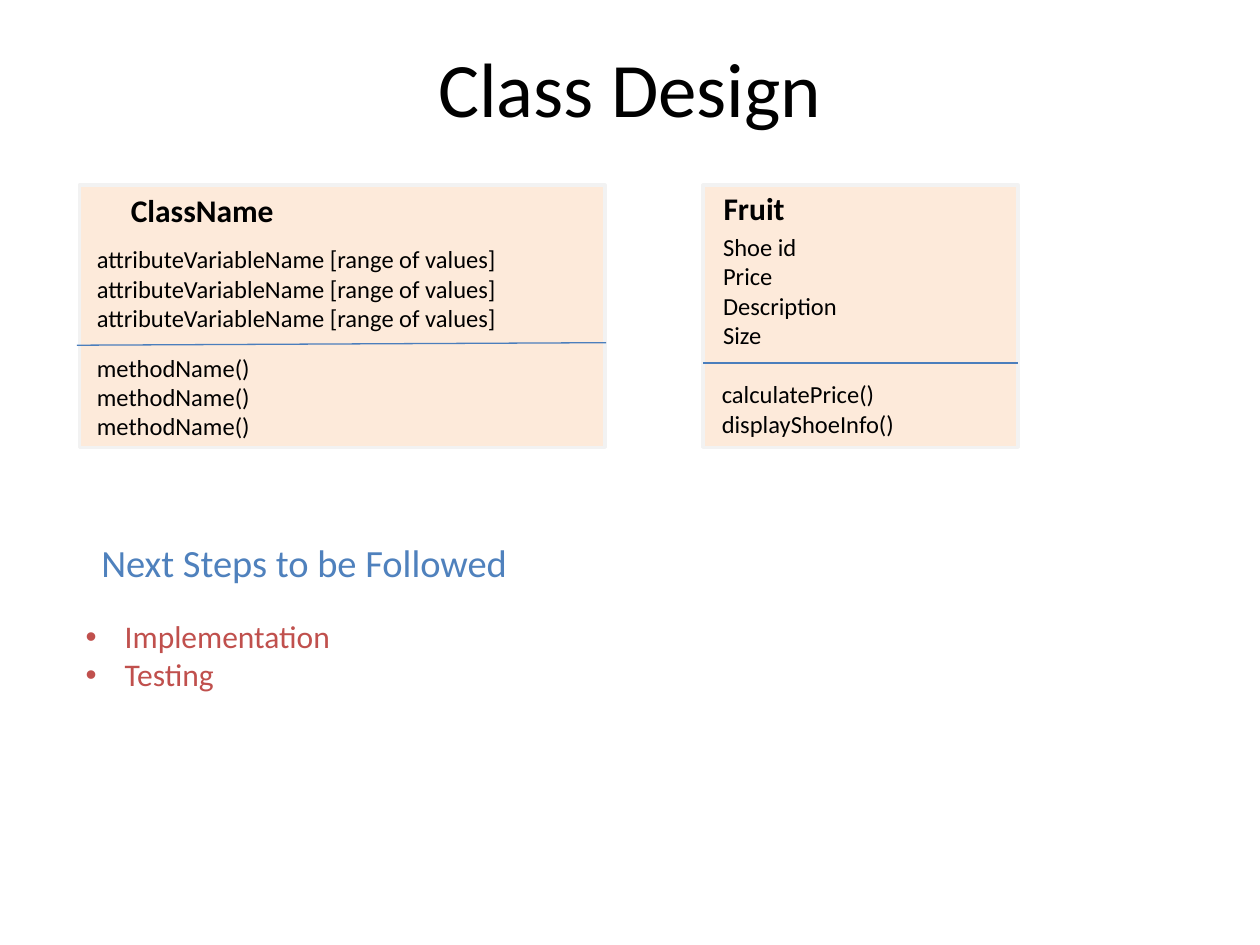
from dataclasses import dataclass

from lxml import etree
from pptx import Presentation
from pptx.dml.color import RGBColor
from pptx.enum import shapes, text
from pptx.oxml import ns
from pptx.util import Inches, Pt


@dataclass(frozen=True)
class Theme:
    font: str = "Calibri"
    ink: str = "000000"
    heading: str = "4F81BD"
    accent: str = "C0504D"
    box_fill: str = "FDEADA"
    box_line: str = "F2F2F2"
    divider: str = "4B7EBC"
    title_size: int = 44
    heading_size: int = 22
    name_size: int = 18
    list_size: int = 18
    member_size: int = 14


theme = Theme()
LEFT, CENTER = text.PP_ALIGN.LEFT, text.PP_ALIGN.CENTER
TOP, MIDDLE = text.MSO_ANCHOR.TOP, text.MSO_ANCHOR.MIDDLE


def put_text(sp, lines, at, size, color=theme.ink, bold=False, align=LEFT,
             anchor=TOP, hang=None):
    """Place sp at (left, top, width, height) inches and write one paragraph per line."""
    sp.left, sp.top, sp.width, sp.height = map(Inches, at)
    tf = sp.text_frame
    tf.word_wrap = True
    tf.auto_size = text.MSO_AUTO_SIZE.NONE
    tf.vertical_anchor = anchor
    for i, line in enumerate(lines):
        p = tf.add_paragraph() if i else tf.paragraphs[0]
        p.alignment = align
        p.space_before = Pt(0)
        if hang:
            pPr = p._p.get_or_add_pPr()
            pPr.set("marL", str(Inches(hang)))
            pPr.set("indent", str(-Inches(hang)))
            etree.SubElement(pPr, ns.qn("a:buChar")).set("char", "•")
        r = p.add_run()
        r.text = line
        r.font.name = theme.font
        r.font.size = Pt(size)
        r.font.bold = bold
        r.font.color.rgb = RGBColor.from_string(color)


prs = Presentation()
prs.slide_width, prs.slide_height = Inches(10), Inches(7.5)
s = prs.slides.add_slide(prs.slide_layouts.get_by_name("Title and Content"))

put_text(s.shapes.title, ["Class Design"], (0.5, 0.16, 9, 1.06),
         theme.title_size, align=CENTER, anchor=MIDDLE)

# Each class: its box, its divider, then name, attributes and methods
classes = [
    dict(box=(0.63, 1.47, 4.17, 2.08), divider=(0.61, 2.74, 4.81, 2.72),
         name=("ClassName", (0.61, 1.47, 1.99, 0.39)),
         members=[(["attributeVariableName [range of values]"] * 3,
                   (0.67, 1.89, 4.08, 0.77)),
                  (["methodName()"] * 3, (0.67, 2.75, 4.08, 0.77))]),
    dict(box=(5.58, 1.47, 2.5, 2.08), divider=(5.58, 2.88, 8.08, 2.88),
         name=("Fruit", (5.54, 1.45, 0.89, 0.4)),
         members=[(["Shoe id", "Price", "Description", "Size"],
                   (5.64, 1.79, 2.31, 0.99)),
                  (["calculatePrice()", "displayShoeInfo()"],
                   (5.63, 2.96, 2.79, 0.57))]),
]

for cls in classes:
    box = s.shapes.add_shape(shapes.MSO_SHAPE.FLOWCHART_PROCESS,
                             *map(Inches, cls["box"]))
    box.shadow.inherit = False
    box.fill.solid()
    box.fill.fore_color.rgb = RGBColor.from_string(theme.box_fill)
    box.line.color.rgb = RGBColor.from_string(theme.box_line)
    box.line.width = Pt(2)

    divider = s.shapes.add_connector(shapes.MSO_CONNECTOR.STRAIGHT,
                                     *map(Inches, cls["divider"]))
    divider.line.color.rgb = RGBColor.from_string(theme.divider)
    divider.line.width = Pt(0.75)
    etree.SubElement(divider._element.spPr, ns.qn("a:effectLst"))

    name, at = cls["name"]
    put_text(s.shapes.add_textbox(0, 0, 0, 0), [name], at, theme.name_size,
             bold=True, align=CENTER)
    for lines, at in cls["members"]:
        put_text(s.shapes.add_textbox(0, 0, 0, 0), lines, at, theme.member_size)

put_text(s.shapes.add_textbox(0, 0, 0, 0), ["Next Steps to be Followed"],
         (0.5, 4.19, 3.83, 0.54), theme.heading_size, color=theme.heading,
         align=CENTER, anchor=MIDDLE)
put_text(s.placeholders[1], ["Implementation", "Testing"], (0.58, 4.85, 3, 0.71),
         theme.list_size, color=theme.accent, hang=0.31)

prs.save("out.pptx")
